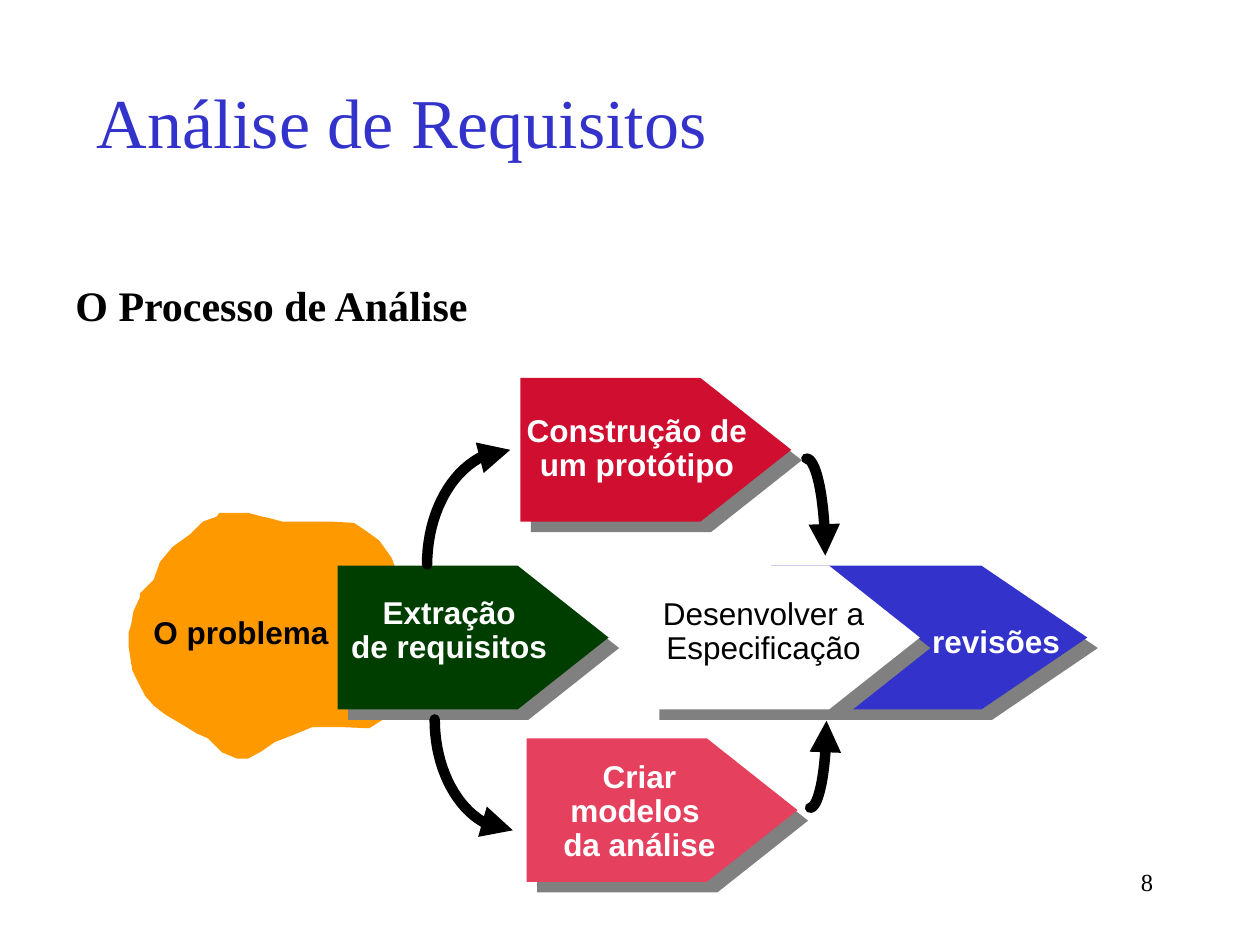
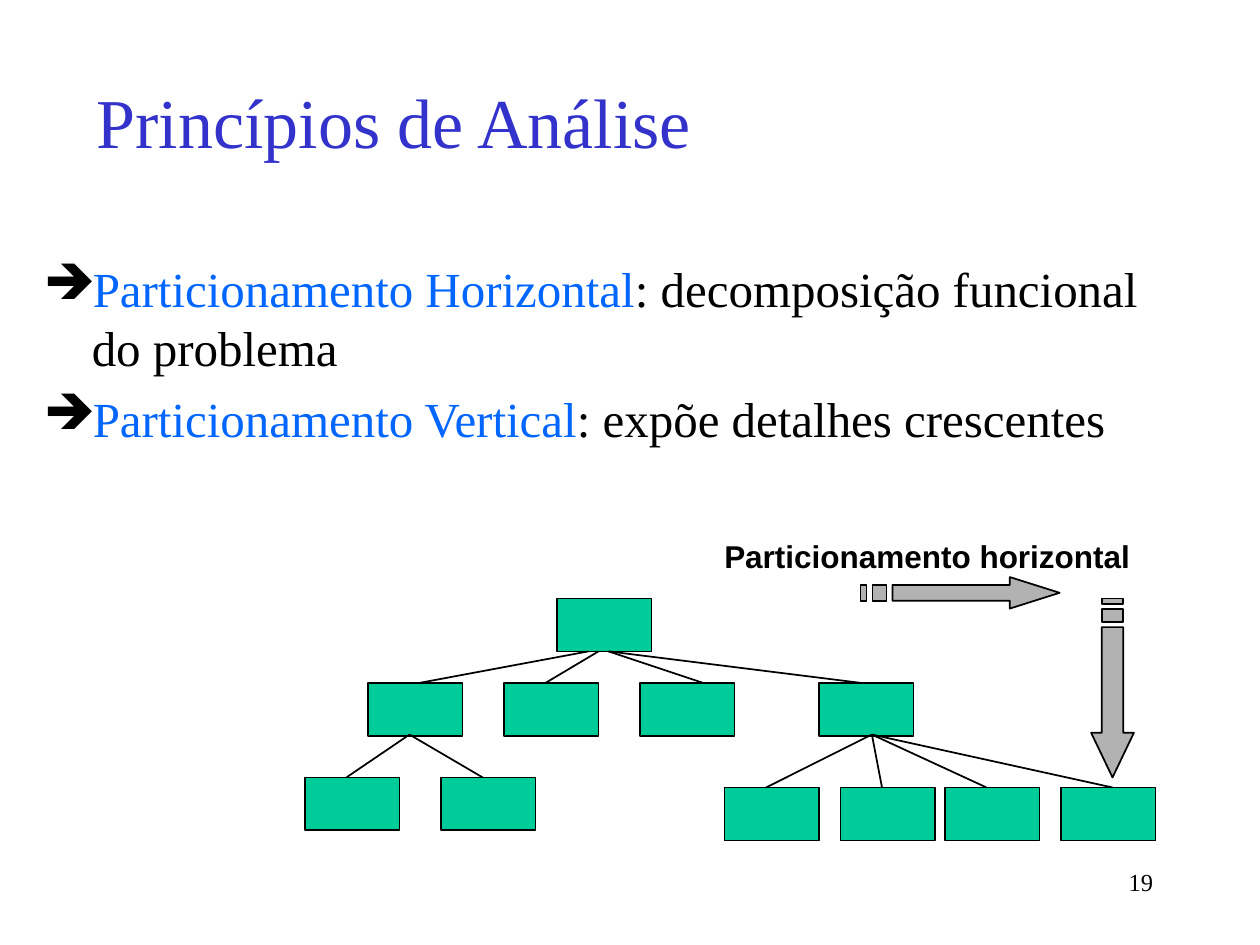
import math

import lxml.etree
import pptx
import pptx.dml.color
import pptx.enum.shapes
import pptx.enum.text
import pptx.oxml.ns
import pptx.util

Inches = pptx.util.Inches
Pt = pptx.util.Pt
SHAPE = pptx.enum.shapes.MSO_SHAPE
ALIGN = pptx.enum.text.PP_ALIGN

COLORS = {
    "title": "3333CC", "text": "000000", "light": "FFFFFF", "term": "0066FF",
    "problem": "FF9900", "prototype": "CF0E30", "models": "E5405D",
    "extraction": "003E00", "specification": "FFFFFF", "revisions": "3333CC",
    "shadow": "808080", "module": "00CC99", "direction": "B2B2B2",
}
SERIF, SANS, SYMBOLS = "Times New Roman", "Arial", "Wingdings"


def add_xml(parent, tag, **attributes):
    return lxml.etree.SubElement(parent, pptx.oxml.ns.qn(tag), attributes)


class Deck:
    def __init__(self):
        self.presentation = pptx.Presentation()
        self.presentation.slide_width = Inches(10)
        self.presentation.slide_height = Inches(7.5)
        self.slide = None

    def color(self, name):
        return pptx.dml.color.RGBColor.from_string(COLORS[name])

    def new_slide(self, title, number):
        self.slide = self.presentation.slides.add_slide(self.presentation.slide_layouts[6])
        heading = self.text(title, 0.67, 0.33, 8.5, 1.25, 40, SERIF, "title")
        heading.vertical_anchor = pptx.enum.text.MSO_ANCHOR.MIDDLE
        self.text(number, 7.17, 6.83, 2.08, 0.5, 14, SERIF, align=ALIGN.RIGHT)

    def style_run(self, run, size, font, color, bold=False):
        run.font.size, run.font.name, run.font.bold = Pt(size), font, bold
        run.font.color.rgb = self.color(color)

    def text(self, content, left, top, width, height, size, font, color="text",
             bold=False, align=ALIGN.LEFT):
        frame = self.slide.shapes.add_textbox(
            Inches(left), Inches(top), Inches(width), Inches(height)).text_frame
        frame.word_wrap = True
        frame.text = content
        for paragraph in frame.paragraphs:
            paragraph.alignment = align
            for run in paragraph.runs:
                self.style_run(run, size, font, color, bold)
        return frame

    def label(self, content, left, top, width, height, color="text", bold=True,
              align=ALIGN.CENTER, spacing=0.9):
        frame = self.text(content, left, top, width, height, 18, SANS, color, bold, align)
        frame.word_wrap = False
        frame.auto_size = pptx.enum.text.MSO_AUTO_SIZE.SHAPE_TO_FIT_TEXT
        for paragraph in frame.paragraphs:
            paragraph.line_spacing = spacing

    def definitions(self, entries, left, top, width, height):
        frame = self.text("\n".join(term for term, _ in entries),
                          left, top, width, height, 28, SERIF, "term")
        for paragraph, (_, meaning) in zip(frame.paragraphs, entries):
            run = paragraph.add_run()
            run.text = meaning
            self.style_run(run, 28, SERIF, "text")
            paragraph.space_before = Pt(7)
            properties = paragraph._p.get_or_add_pPr()
            properties.set("marL", str(Inches(0.38)))
            properties.set("indent", str(-Inches(0.38)))
            bullet_color = add_xml(properties, "a:buClr")
            add_xml(bullet_color, "a:srgbClr", val=COLORS["text"])
            add_xml(properties, "a:buFont", typeface=SYMBOLS, charset="2")
            add_xml(properties, "a:buChar", char="⇨")

    def paint(self, shape, fill=None, line=None, width=1):
        shape.shadow.inherit = False
        if fill:
            shape.fill.solid()
            shape.fill.fore_color.rgb = self.color(fill)
        else:
            shape.fill.background()
        if line:
            shape.line.color.rgb = self.color(line)
            shape.line.width = Pt(width)
        else:
            shape.line.fill.background()
        return shape

    def preset(self, kind, left, top, width, height, fill, line=None):
        shape = self.slide.shapes.add_shape(
            kind, Inches(left), Inches(top), Inches(width), Inches(height))
        return self.paint(shape, fill, line)

    def stage(self, left, top, fill, width=2.15, point=0.72):
        height = 1.14
        pentagon = self.preset(SHAPE.PENTAGON, left, top, width, height, fill)
        pentagon.adjustments[0] = point / height
        effects = pentagon._element.spPr.find(pptx.oxml.ns.qn("a:effectLst"))
        shadow = add_xml(effects, "a:outerShdw", dist=str(Pt(8.5)), dir="2700000",
                         algn="tl", rotWithShape="0")
        add_xml(shadow, "a:srgbClr", val=COLORS["shadow"])

    def outline(self, contours, closed=True):
        builder = None
        for contour in contours:
            start, *rest = [(Inches(x), Inches(y)) for x, y in contour]
            if builder is None:
                builder = self.slide.shapes.build_freeform(*start, scale=1.0)
            else:
                builder.move_to(*start)
            builder.add_line_segments(rest, close=closed)
        return builder.convert_to_shape()

    def curved_arrow(self, start, end, upright_start):
        """Quarter ellipse that leaves start vertically or horizontally."""
        (x, y), (end_x, end_y) = start, end
        points = []
        for step in range(25):
            angle = math.pi / 2 * step / 24
            fast, slow = math.sin(angle), 1 - math.cos(angle)
            along_x, along_y = (slow, fast) if upright_start else (fast, slow)
            points.append((x + (end_x - x) * along_x, y + (end_y - y) * along_y))
        arrow = self.paint(self.outline([points], closed=False), line="text", width=6)
        stroke = arrow.line._get_or_add_ln()
        stroke.set("cap", "rnd")
        add_xml(stroke, "a:round")
        add_xml(stroke, "a:tailEnd", type="triangle")

    def striped_arrow(self, left, top, length, breadth, vertical=False):
        def bar(start, end):
            return [(start, 0.25), (start, 0.75), (end, 0.75), (end, 0.25)]

        head = [(0.75, 0.75), (0.75, 1), (1, 0.5), (0.75, 0), (0.75, 0.25)]
        shaft = [(0.16, 0.25), (0.16, 0.75)]
        contours = []
        for contour in (shaft + head, bar(0.06, 0.13), bar(0, 0.03)):
            scaled = [(along * length, across * breadth) for along, across in contour]
            contours.append([(left + across, top + along) if vertical
                             else (left + along, top + across) for along, across in scaled])
        self.paint(self.outline(contours), "direction", "text")

    def module(self, left, top):
        self.preset(SHAPE.RECTANGLE, left, top, 0.75, 0.42, "module", "text")

    def link(self, x1, y1, x2, y2):
        line = self.slide.shapes.add_connector(
            pptx.enum.shapes.MSO_CONNECTOR.STRAIGHT,
            Inches(x1), Inches(y1), Inches(x2), Inches(y2))
        line.line.color.rgb = self.color("text")
        line.line.width = Pt(1)
        add_xml(line._element.spPr, "a:effectLst")


PROBLEM_OUTLINE = [
    (2.08, 4.1), (1.97, 4.07), (1.74, 4.07), (1.72, 4.1), (1.61, 4.14), (1.51, 4.24),
    (1.37, 4.34), (1.27, 4.46), (1.22, 4.6), (1.11, 4.71), (1.11, 4.74), (1.06, 4.85),
    (1.04, 4.96), (1.02, 5.02), (1.02, 5.13), (1.05, 5.32), (1.09, 5.4), (1.15, 5.52),
    (1.22, 5.6), (1.31, 5.67), (1.48, 5.77), (1.56, 5.82), (1.65, 5.86), (1.76, 5.97),
    (1.88, 6.02), (1.97, 6.02), (2.08, 5.96), (2.18, 5.89), (2.31, 5.84), (2.48, 5.77),
    (2.7, 5.77), (2.93, 5.78), (3.09, 5.68), (3.2, 5.56), (3.24, 5.43), (3.29, 5.35),
    (3.3, 5.1), (3.22, 4.9), (3.18, 4.74), (3.16, 4.57), (3.11, 4.43), (3.01, 4.29),
    (2.9, 4.21), (2.81, 4.15), (2.63, 4.14), (2.24, 4.14), (2.13, 4.11),
]


def analysis_process(deck):
    deck.new_slide("Análise de Requisitos", "8")
    # Stages, from back to front
    deck.stage(4.13, 3, "prototype")
    deck.stage(4.18, 5.86, "models")
    deck.paint(deck.outline([PROBLEM_OUTLINE]), "problem")
    deck.label("O problema", 1.12, 4.85, 1.63, 0.37, align=ALIGN.LEFT)
    deck.stage(2.68, 4.49, "extraction")
    deck.stage(6.12, 4.49, "revisions", width=2.51, point=0.84)
    deck.label("Extração\nde requisitos", 2.66, 4.69, 1.81, 0.64, "light")
    deck.label("Construção de\num protótipo", 4.06, 3.25, 1.99, 0.64, "light")
    deck.label("Criar\nmodelos \nda análise", 4.35, 5.99, 1.45, 0.91, "light")
    deck.stage(5.15, 4.49, "specification")
    deck.label("Desenvolver a\nEspecificação", 5.14, 4.7, 1.84, 0.64, bold=False)
    deck.label("revisões", 7.27, 4.92, 1.27, 0.37, "light")
    # Flow between the stages
    deck.curved_arrow((3.45, 5.71), (4.07, 6.59), True)
    deck.curved_arrow((3.39, 4.48), (4.05, 3.57), True)
    deck.curved_arrow((6.43, 6.41), (6.56, 5.72), False)
    deck.curved_arrow((6.4, 3.64), (6.55, 4.41), False)
    # Subtitle
    subtitle = deck.text("O Processo de Análise", 0.5, 2.17, 4, 0.5, 24, SERIF, bold=True)
    subtitle.paragraphs[0].space_before = Pt(15)


def analysis_principles(deck):
    deck.new_slide("Princípios de Análise", "19")
    deck.definitions([
        ("Particionamento Horizontal", ": decomposição funcional do problema"),
        ("Particionamento Vertical", ": expõe detalhes crescentes"),
    ], 0.25, 2, 9.25, 1.75)
    # Module tree: parent bottom, child top, then (link start, child left, link end)
    branches = [
        (5.17, 5.42, [(4.67, 2.92, 3.33), (4.75, 4, 4.33),
                      (4.83, 5.08, 5.58), (4.83, 6.5, 6.83)]),
        (5.83, 6.17, [(3.25, 2.42, 2.75), (3.25, 3.5, 3.83)]),
        (5.83, 6.25, [(6.92, 5.75, 6.08), (6.92, 6.67, 7),
                      (6.92, 7.5, 7.83), (6.92, 8.42, 8.83)]),
    ]
    deck.module(4.42, 4.75)
    for bottom, top, children in branches:
        for start, left, end in children:
            deck.module(left, top)
            deck.link(start, bottom, end, top)
    # Directions of partitioning
    deck.striped_arrow(6.83, 4.58, 1.58, 0.25)
    deck.striped_arrow(8.66, 4.75, 1.42, 0.34, vertical=True)
    deck.label("Particionamento horizontal", 5.65, 4.21, 3.46, 0.4,
               align=ALIGN.LEFT, spacing=1.0)


def main():
    deck = Deck()
    analysis_process(deck)
    analysis_principles(deck)
    deck.presentation.save("out.pptx")


if __name__ == "__main__":
    main()
